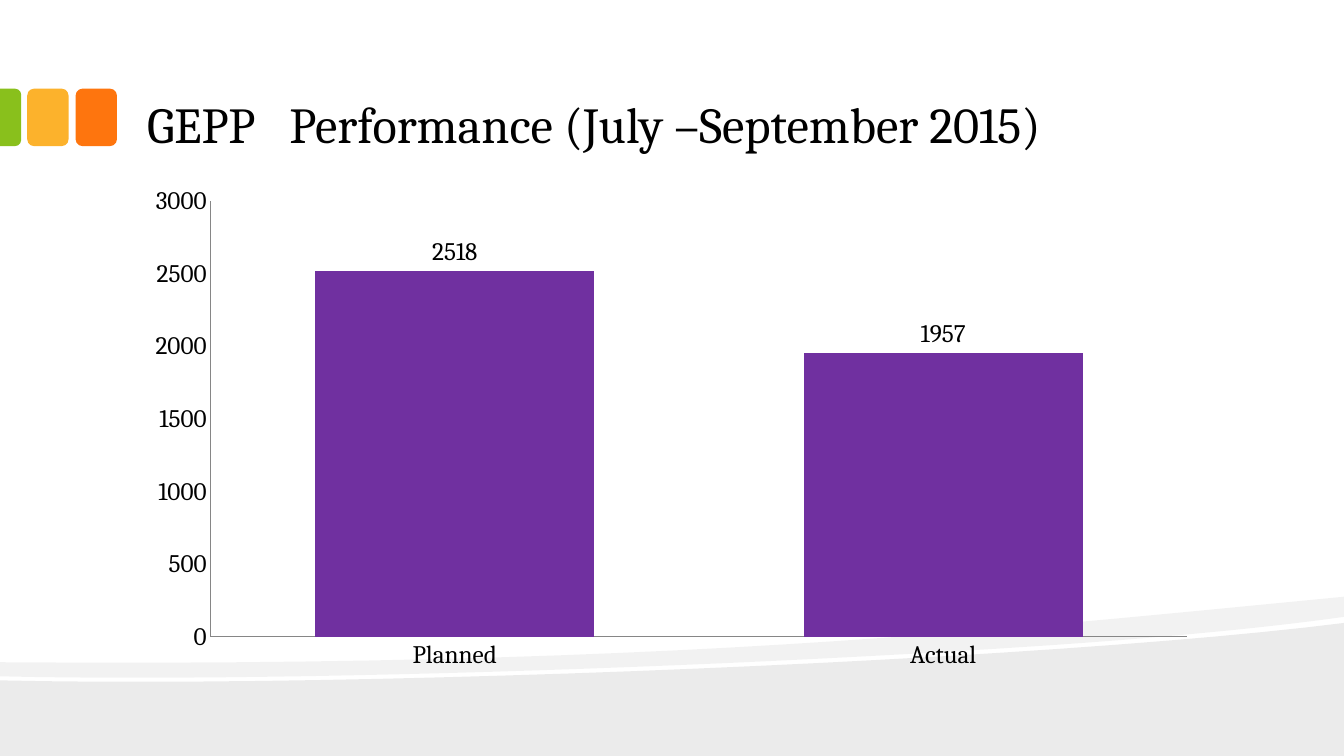
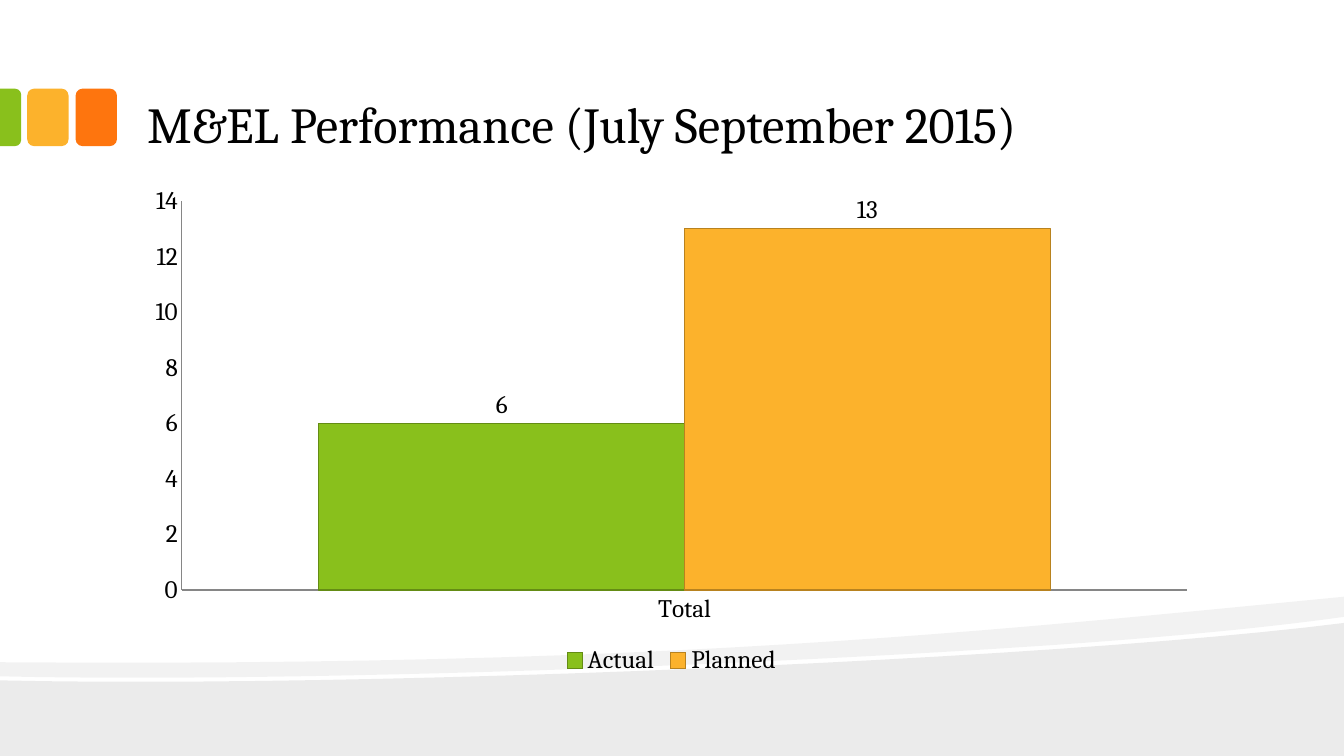
from dataclasses import dataclass
from typing import NamedTuple

from lxml.etree import SubElement
from pptx import Presentation
from pptx.chart.data import CategoryChartData
from pptx.dml.color import RGBColor
from pptx.enum.chart import XL_CHART_TYPE, XL_LABEL_POSITION, XL_LEGEND_POSITION, XL_TICK_MARK
from pptx.enum.shapes import MSO_SHAPE
from pptx.enum.text import MSO_ANCHOR
from pptx.oxml.ns import qn
from pptx.util import Inches, Pt


@dataclass(frozen=True)
class Theme:
    font: str = "Cambria"
    title_size: int = 36
    chart_size: int = 18
    text: str = "000000"
    axis: str = "868686"
    green: str = "89C01C"
    yellow: str = "FCB22C"
    orange: str = "FE750E"
    purple: str = "7030A0"
    green_edge: str = "648C14"
    yellow_edge: str = "B8821F"


THEME = Theme()
Point = tuple[float, float]
SLIDE_WIDTH, SLIDE_HEIGHT = 13.33, 7.5
CONTENT_LEFT, CONTENT_WIDTH = 1.33, 10.66
TAB_TITLE_STOP = 1.41
CURVE_STEPS = 24


class Tile(NamedTuple):
    shape: MSO_SHAPE
    left: float
    top: float
    width: float
    height: float
    color: str
    rotation: int = 0


class Series(NamedTuple):
    name: str
    values: tuple[int, ...]
    color: str
    edge: str | None = None


class ChartPage(NamedTuple):
    title: str
    categories: tuple[str, ...]
    series: tuple[Series, ...]
    maximum: int
    step: int
    overlap: int = 0
    axis_width: float = 0.75
    legend: bool = False


TILES = (
    Tile(MSO_SHAPE.ROUNDED_RECTANGLE, 0.75, 0.88, 0.41, 0.57, THEME.orange),
    Tile(MSO_SHAPE.ROUNDED_RECTANGLE, 0.27, 0.88, 0.41, 0.57, THEME.yellow),
    Tile(MSO_SHAPE.ROUND_2_SAME_RECTANGLE, -0.18, 1.06, 0.57, 0.21, THEME.green, 90),
)

PAGES = (
    ChartPage(
        "GEPP\tPerformance (July –September 2015)",
        ("Planned", "Actual"),
        (Series("Series 1", (2518, 1957), THEME.purple),),
        maximum=3000, step=500, overlap=-1,
    ),
    ChartPage(
        "M&EL Performance (July September 2015)",
        ("Total",),
        (
            Series("Actual", (6,), THEME.green, THEME.green_edge),
            Series("Planned", (13,), THEME.yellow, THEME.yellow_edge),
        ),
        maximum=14, step=2, axis_width=1.5, legend=True,
    ),
)


def rgb(color: str) -> RGBColor:
    return RGBColor.from_string(color)


def bezier(start: Point, first: Point, second: Point, end: Point) -> list[Point]:
    """Sample a cubic curve, leaving out its start point."""
    points = []
    for step in range(1, CURVE_STEPS + 1):
        t = step / CURVE_STEPS
        weights = ((1 - t) ** 3, 3 * t * (1 - t) ** 2, 3 * t * t * (1 - t), t ** 3)
        x, y = (
            sum(weight * value for weight, value in zip(weights, values))
            for values in zip(start, first, second, end)
        )
        points.append((x, y))
    return points


LOWER_WAVE = [
    (SLIDE_WIDTH, SLIDE_HEIGHT), (0, SLIDE_HEIGHT), (0, 6.75),
    *bezier((0, 6.75), (3.52, 6.83), (10.42, 6.55), (SLIDE_WIDTH, 6.18)),
]
UPPER_WAVE = [
    (SLIDE_WIDTH, 5.92), (SLIDE_WIDTH, 6.12),
    *bezier((SLIDE_WIDTH, 6.12), (12.55, 6.23), (11.49, 6.33), (10.29, 6.41)),
    *bezier((10.29, 6.41), (6.98, 6.63), (2.58, 6.77), (0, 6.71)),
    (0, 6.57),
    *bezier((0, 6.57), (6.52, 6.62), (9.71, 6.27), (SLIDE_WIDTH, 5.92)),
]
WAVES = ((LOWER_WAVE, 8), (UPPER_WAVE, 5))


def fill_plain(shape, color: str) -> None:
    shape.shadow.inherit = False
    shape.fill.solid()
    shape.fill.fore_color.rgb = rgb(color)
    shape.line.fill.background()


def add_wave(page, points: list[Point], opacity: int) -> None:
    corners = [(Inches(x), Inches(y)) for x, y in points]
    builder = page.shapes.build_freeform(*corners[0])
    builder.add_line_segments(corners[1:], close=True)
    wave = builder.convert_to_shape()
    fill_plain(wave, THEME.text)
    color = wave.fill._xPr.find(qn("a:solidFill"))[0]
    SubElement(color, qn("a:alpha")).set("val", str(opacity * 1000))


def add_tile(page, tile: Tile) -> None:
    shape = page.shapes.add_shape(
        tile.shape, Inches(tile.left), Inches(tile.top), Inches(tile.width), Inches(tile.height)
    )
    shape.rotation = tile.rotation
    if tile.shape == MSO_SHAPE.ROUND_2_SAME_RECTANGLE:
        shape.adjustments[0] = 0.29
    fill_plain(shape, tile.color)


def style_font(font, size: int) -> None:
    font.name = THEME.font
    font.size = Pt(size)
    font.color.rgb = rgb(THEME.text)


def add_title(page, title: str) -> None:
    box = page.shapes.add_textbox(
        Inches(CONTENT_LEFT), Inches(0.17), Inches(CONTENT_WIDTH), Inches(1.42)
    )
    frame = box.text_frame
    frame.word_wrap = True
    frame.vertical_anchor = MSO_ANCHOR.BOTTOM
    frame.margin_left = frame.margin_right = Inches(0.13)
    frame.margin_top = frame.margin_bottom = Inches(0.07)
    para = frame.paragraphs[0]
    if "\t" in title:
        stops = SubElement(para._p.get_or_add_pPr(), qn("a:tabLst"))
        stop = SubElement(stops, qn("a:tab"))
        stop.set("pos", str(Inches(TAB_TITLE_STOP)))
        stop.set("algn", "l")
    span = para.add_run()
    span.text = title
    style_font(span.font, THEME.title_size)


def style_axis(axis, width: float) -> None:
    axis.has_major_gridlines = False
    axis.major_tick_mark = axis.minor_tick_mark = XL_TICK_MARK.NONE
    axis.format.line.color.rgb = rgb(THEME.axis)
    axis.format.line.width = Pt(width)
    style_font(axis.tick_labels.font, THEME.chart_size)


def style_series(bars, series: Series) -> None:
    bars.invert_if_negative = False
    bars.format.fill.solid()
    bars.format.fill.fore_color.rgb = rgb(series.color)
    if series.edge:
        bars.format.line.color.rgb = rgb(series.edge)
        bars.format.line.width = Pt(0.75)
    else:
        bars.format.line.fill.background()
    labels = bars.data_labels
    labels.show_value = True
    labels.position = XL_LABEL_POSITION.OUTSIDE_END
    style_font(labels.font, THEME.chart_size)


def add_column_chart(page, content: ChartPage) -> None:
    data = CategoryChartData(number_format="General")
    data.categories = content.categories
    for series in content.series:
        data.add_series(series.name, series.values)
    chart = page.shapes.add_chart(
        XL_CHART_TYPE.COLUMN_CLUSTERED,
        Inches(CONTENT_LEFT), Inches(1.75), Inches(CONTENT_WIDTH), Inches(5), data,
    ).chart
    style_font(chart.font, THEME.chart_size)
    chart.has_title = False
    chart.has_legend = content.legend
    if content.legend:
        chart.legend.position = XL_LEGEND_POSITION.BOTTOM
        chart.legend.include_in_layout = False
        style_font(chart.legend.font, THEME.chart_size)
    style_axis(chart.category_axis, content.axis_width)
    style_axis(chart.value_axis, 0.75)
    chart.value_axis.minimum_scale = 0
    chart.value_axis.maximum_scale = content.maximum
    chart.value_axis.major_unit = content.step
    plot = chart.plots[0]
    plot.vary_by_categories = False
    plot.gap_width = 75
    plot.overlap = content.overlap
    for bars, series in zip(plot.series, content.series):
        style_series(bars, series)


def add_page(deck, content: ChartPage) -> None:
    page = deck.slides.add_slide(deck.slide_layouts[6])
    for points, opacity in WAVES:
        add_wave(page, points, opacity)
    for tile in TILES:
        add_tile(page, tile)
    add_title(page, content.title)
    add_column_chart(page, content)


def main() -> None:
    deck = Presentation()
    deck.slide_width = Inches(SLIDE_WIDTH)
    deck.slide_height = Inches(SLIDE_HEIGHT)
    for content in PAGES:
        add_page(deck, content)
    deck.save("out.pptx")


if __name__ == "__main__":
    main()
